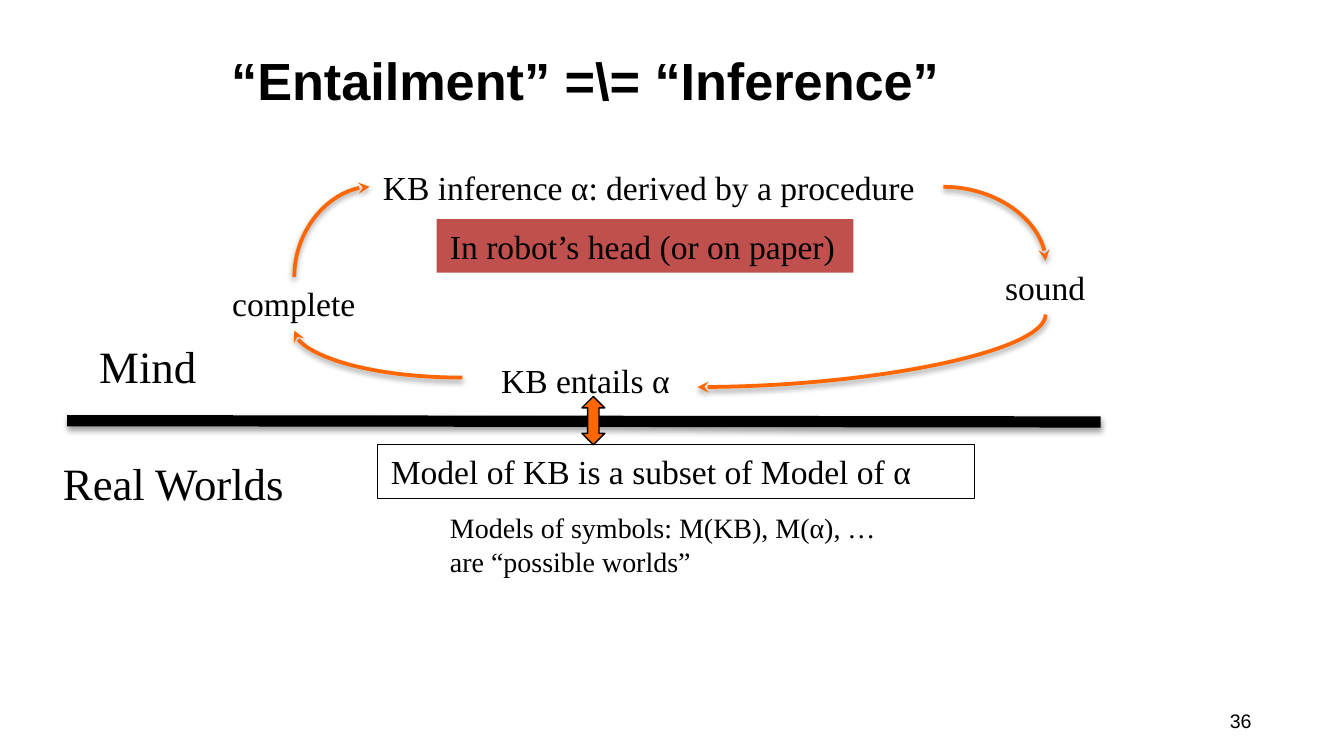
from dataclasses import dataclass

from lxml import etree
from pptx import Presentation
from pptx.dml.color import RGBColor
from pptx.enum import shapes as sh, text as tx
from pptx.oxml import ns
from pptx.util import Inches, Pt


@dataclass(frozen=True)
class Theme:
    ink: str = "000000"
    paper: str = "FFFFFF"
    red: str = "C0504D"
    orange: str = "FF6600"
    sans: str = "Arial"
    serif: str = "Times New Roman"
    title: float = 28
    head: float = 24
    body: float = 18
    note: float = 15
    page: float = 10.5
    thin: float = 0.75
    curve: float = 2
    bar: float = 6


T = Theme()


def rgb(code):
    return RGBColor.from_string(code)


def write(shape, words, size, font=T.serif, bold=False,
          align=tx.PP_ALIGN.LEFT, anchor=tx.MSO_ANCHOR.TOP):
    frame = shape.text_frame
    frame.text = words
    frame.word_wrap = True
    frame.vertical_anchor = anchor
    for para in frame.paragraphs:
        para.alignment = align
        for run in para.runs:
            run.font.size, run.font.name, run.font.bold = Pt(size), font, bold
            run.font.color.rgb = rgb(T.ink)


def label(slide, box, words, size=T.body, **style):
    shape = slide.shapes.add_textbox(*map(Inches, box))
    write(shape, words, size, **style)


def block(slide, box, kind=sh.MSO_SHAPE.RECTANGLE, fill=None, line=None):
    shape = slide.shapes.add_shape(kind, *map(Inches, box))
    shape.shadow.inherit = False
    if fill:
        shape.fill.solid()
        shape.fill.fore_color.rgb = rgb(fill)
    else:
        shape.fill.background()
    if line:
        shape.line.color.rgb = rgb(line)
        shape.line.width = Pt(T.thin)
    else:
        shape.line.fill.background()
    return shape


def link(slide, kind, start, end, color, width):
    """Draw a line with a soft shadow below it."""
    line = slide.shapes.add_connector(kind, *map(Inches, (*start, *end)))
    line.line.color.rgb = rgb(color)
    line.line.width = Pt(width)
    props = line._element.spPr
    effects = etree.SubElement(props, ns.qn("a:effectLst"))
    shade = etree.SubElement(effects, ns.qn("a:outerShdw"), blurRad="40000",
                             dist="20000", dir="5400000", rotWithShape="0")
    tint = etree.SubElement(shade, ns.qn("a:srgbClr"), val=T.ink)
    etree.SubElement(tint, ns.qn("a:alpha"), val="38000")
    return line


def arc(slide, start, end, upright=False):
    """Draw a quarter-turn arrow; an upright one leaves its start vertically."""
    (x1, y1), (x2, y2) = start, end
    down = y2 > y1
    if upright:
        # A turned connector keeps its centre but swaps width and height
        midx, midy = (x1 + x2) / 2, (y1 + y2) / 2
        dx, dy = abs(y2 - y1) / 2, abs(x2 - x1) / 2
        start, end = (midx - dx, midy - dy), (midx + dx, midy + dy)
    line = link(slide, sh.MSO_CONNECTOR.CURVE, start, end, T.orange, T.curve)
    props = line._element.spPr
    props.find(ns.qn("a:prstGeom")).set("prst", "curvedConnector2")
    if upright:
        turn = 90 if down else 270
        props.find(ns.qn("a:xfrm")).set("rot", str(turn * 60000))
    etree.SubElement(props.find(ns.qn("a:ln")), ns.qn("a:tailEnd"), type="stealth")


def title(slide, box):
    shape = slide.shapes.title
    shape.left, shape.top, shape.width, shape.height = map(Inches, box)
    write(shape, "“Entailment” =\\= “Inference”", T.title, T.sans, True,
          anchor=tx.MSO_ANCHOR.MIDDLE)


def mind(slide, left, top):
    def at(x, y, *size):
        return (left + x, top + y, *size)

    # Statements and the properties that join them
    label(slide, at(2.25, 0, 4.27, 0.4), "KB inference α: derived by a procedure")
    head = block(slide, at(2.75, 0.44, 3.1, 0.4), fill=T.red)
    write(head, "In robot’s head (or on paper)", T.body)
    label(slide, at(6.88, 0.75, 0.81, 0.4), "sound")
    label(slide, at(1.13, 0.87, 1.13, 0.4), "complete")
    entail = block(slide, at(3.13, 1.44, 1.53, 0.4), line=T.paper)
    write(entail, "KB entails α", T.body)
    label(slide, at(0.14, 1.28, 0.93, 0.5), "Mind", T.head)

    # Cycle, clockwise from the top
    arc(slide, at(6.52, 0.2), at(7.28, 0.75))
    arc(slide, at(7.28, 1.15), at(4.69, 1.69), upright=True)
    arc(slide, at(2.94, 1.62), at(1.69, 1.27))
    arc(slide, at(1.69, 0.87), at(2.25, 0.2), upright=True)


def border(slide, left, top, width):
    link(slide, sh.MSO_CONNECTOR.STRAIGHT, (left, top),
         (left + width, top + 0.01), T.ink, T.bar)
    block(slide, (left + 3.83, top - 0.18, 0.17, 0.36),
          sh.MSO_SHAPE.UP_DOWN_ARROW, T.orange, T.ink)


def worlds(slide, left, top):
    model = block(slide, (left + 2.44, top, 4.44, 0.4), line=T.ink)
    write(model, "Model of KB is a subset of Model of α", T.body)
    label(slide, (left + 2.88, top + 0.44, 3.4, 0.61),
          "Models of symbols: M(KB), M(α), …\nare “possible worlds”", T.note)
    label(slide, (left, top + 0.03, 1.86, 0.5), "Real Worlds", T.head)


def main():
    deck = Presentation()
    deck.slide_width = Inches(10)
    deck.slide_height = deck.slide_width * 9 // 16
    slide = deck.slides.add_slide(deck.slide_layouts[5])
    title(slide, (1.62, 0.12, 6.75, 0.94))
    mind(slide, 0.5, 1.19)
    border(slide, 0.5, 3.13, 7.69)
    worlds(slide, 0.37, 3.31)
    # Page number
    label(slide, (7.33, 5.12, 2.08, 0.38), "36", T.page, font=T.sans,
          align=tx.PP_ALIGN.RIGHT, anchor=tx.MSO_ANCHOR.BOTTOM)
    deck.save("out.pptx")


if __name__ == "__main__":
    main()
